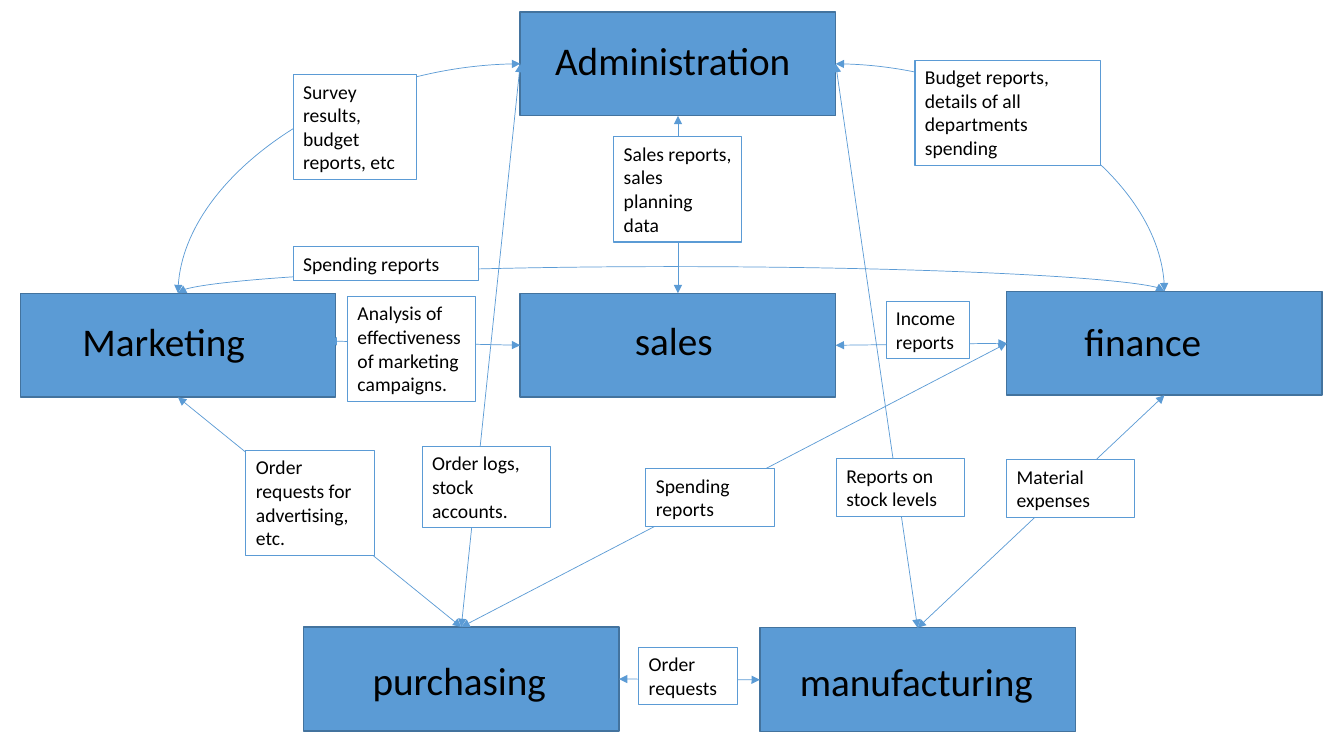
"""Build a slide of the information flows between six departments."""
import pptx
import pptx.util
import pptx.dml.color
import pptx.enum.shapes
import pptx.enum.text
import pptx.oxml.ns
import lxml.etree

Cm, Pt, qn = pptx.util.Cm, pptx.util.Pt, pptx.oxml.ns.qn
CONNECTOR = pptx.enum.shapes.MSO_CONNECTOR
RECTANGLE = pptx.enum.shapes.MSO_SHAPE.RECTANGLE
TOP, LEFT, BOTTOM, RIGHT = range(4)
BLUE, DARK_BLUE, WHITE, BLACK = "5B9BD5", "43739E", "FFFFFF", "000000"
BOX_WIDTH, BOX_HEIGHT, TITLE_HEIGHT = 7.95, 2.62, 1.45
LINE_HEIGHT, NOTE_PADDING = 0.6, 0.25
ARCH_RISE = 0.67

DEPARTMENTS = {
    "Administration": (13.11, 0.3, 0.63, 0.49, 6.91),
    "purchasing": (7.65, 15.8, 1.49, 0.61, 6.45),
    "manufacturing": (19.15, 15.82, 0.76, 0.61, 6.45),
    "Marketing": (0.51, 7.39, 1.32, 0.48, 6.45),
    "finance": (25.37, 7.34, 1.71, 0.53, 6.45),
    "sales": (13.11, 7.39, 2.64, 0.46, 3.23),
}
STRAIGHT_FLOWS = [
    ("sales", RIGHT, "finance", LEFT),
    ("sales", TOP, "Administration", BOTTOM),
    ("purchasing", TOP, "finance", LEFT),
    ("Marketing", BOTTOM, "purchasing", TOP),
    ("manufacturing", TOP, "finance", BOTTOM),
    ("purchasing", RIGHT, "manufacturing", LEFT),
    ("purchasing", TOP, "Administration", LEFT),
    ("Administration", RIGHT, "manufacturing", TOP),
]
NOTES = [
    ("Sales reports, sales planning data", 15.47, 3.45, 3.23, 4),
    ("Survey results, budget reports, etc", 7.39, 1.88, 3.12, 4),
    ("Budget reports, details of all departments spending", 23.06, 1.52, 4.67, 4),
    ("Spending reports", 7.39, 6.22, 4.67, 1),
    ("Analysis of effectiveness of marketing campaigns.", 8.76, 7.47, 3.23, 4),
    ("Order requests for advertising, etc.", 6.2, 11.35, 3.23, 4),
    ("Order logs, stock accounts.", 10.64, 11.25, 3.23, 3),
    ("Spending reports", 16.28, 11.81, 3.23, 2),
    ("Reports on stock levels", 21.08, 11.56, 3.23, 2),
    ("Material expenses", 25.37, 11.58, 3.23, 2),
    ("Order requests", 16.1, 16.31, 2.49, 2),
    ("Income reports", 22.33, 7.59, 2.11, 2),
]


def color(value):
    """Turn a hex string into a colour."""
    return pptx.dml.color.RGBColor.from_string(value)


def write(shape, text, size):
    """Put black wrapped text into a shape that grows with it."""
    frame = shape.text_frame
    frame.word_wrap = True
    frame.auto_size = pptx.enum.text.MSO_AUTO_SIZE.SHAPE_TO_FIT_TEXT
    frame.vertical_anchor = pptx.enum.text.MSO_ANCHOR.TOP
    paragraph = frame.paragraphs[0]
    paragraph.text = text
    paragraph.alignment = pptx.enum.text.PP_ALIGN.LEFT
    paragraph.font.size = Pt(size)
    paragraph.font.name = "Calibri"
    paragraph.font.color.rgb = color(BLACK)


def add_department(slide, name, left, top, title_dx, title_dy, title_width):
    """Add a department box with its title and return both."""
    group = slide.shapes.add_group_shape()
    box = group.shapes.add_shape(
        RECTANGLE, Cm(left), Cm(top), Cm(BOX_WIDTH), Cm(BOX_HEIGHT))
    box.shadow.inherit = False
    box.fill.solid()
    box.fill.fore_color.rgb = color(BLUE)
    box.line.color.rgb = color(DARK_BLUE)
    box.line.width = Pt(1)
    title = group.shapes.add_textbox(
        Cm(left + title_dx), Cm(top + title_dy), Cm(title_width), Cm(TITLE_HEIGHT))
    write(title, name, 28)
    return box, title


def add_flow(slide, source, source_side, target, target_side,
             kind=CONNECTOR.STRAIGHT):
    """Join two shapes with a thin double-headed arrow."""
    flow = slide.shapes.add_connector(kind, 0, 0, 0, 0)
    flow.begin_connect(source, source_side)
    flow.end_connect(target, target_side)
    flow.line.color.rgb = color(BLUE)
    flow.line.width = Pt(0.5)
    properties = flow.element.spPr
    outline = properties.find(qn("a:ln"))
    for end in ("a:headEnd", "a:tailEnd"):
        lxml.etree.SubElement(outline, qn(end), type="triangle")
    lxml.etree.SubElement(properties, qn("a:effectLst"))
    return flow


def add_bend(slide, source, source_side, target, target_side):
    """Join two shapes with a quarter-curve arrow."""
    bend = add_flow(slide, source, source_side, target, target_side, CONNECTOR.CURVE)
    bend.element.spPr.find(qn("a:prstGeom")).set("prst", "curvedConnector2")
    return bend


def start_upwards(flow):
    """Turn a curved arrow so that it leaves its start upwards to the right."""
    run, rise = flow.end_x - flow.begin_x, flow.begin_y - flow.end_y
    middle_x = (flow.begin_x + flow.end_x) // 2
    middle_y = (flow.begin_y + flow.end_y) // 2
    flow.left, flow.top = middle_x - rise // 2, middle_y - run // 2
    flow.width, flow.height = rise, run
    frame = flow.element.spPr.find(qn("a:xfrm"))
    for key, value in (("rot", "5400000"), ("flipH", "1"), ("flipV", "1")):
        frame.set(key, value)


def add_arch(slide, source, target):
    """Join the tops of two shapes with a flat arch."""
    arch = add_flow(slide, source, TOP, target, TOP, CONNECTOR.CURVE)
    start_upwards(arch)
    bulge = round(100000 * Cm(ARCH_RISE) / arch.width)
    guides = arch.element.spPr.find(qn("a:prstGeom")).find(qn("a:avLst"))
    lxml.etree.SubElement(guides, qn("a:gd"), name="adj1", fmla=f"val {bulge}")


def add_note(slide, text, left, top, width, lines):
    """Add a white label as tall as its number of lines."""
    height = NOTE_PADDING + LINE_HEIGHT * lines
    note = slide.shapes.add_shape(
        RECTANGLE, Cm(left), Cm(top), Cm(width), Cm(height))
    note.shadow.inherit = False
    note.fill.solid()
    note.fill.fore_color.rgb = color(WHITE)
    note.line.color.rgb = color(BLUE)
    note.line.width = Pt(0.75)
    write(note, text, 14)


def build_flow_slide(deck):
    """Add the slide with departments, flows and labels."""
    slide = deck.slides.add_slide(deck.slide_layouts[6])
    boxes, titles = {}, {}
    for name, place in DEPARTMENTS.items():
        boxes[name], titles[name] = add_department(slide, name, *place)
    add_flow(slide, titles["Marketing"], RIGHT, boxes["sales"], LEFT)
    for source, source_side, target, target_side in STRAIGHT_FLOWS:
        add_flow(slide, boxes[source], source_side, boxes[target], target_side)
    administration = boxes["Administration"]
    add_arch(slide, boxes["Marketing"], boxes["finance"])
    start_upwards(add_bend(slide, boxes["Marketing"], TOP, administration, LEFT))
    add_bend(slide, administration, RIGHT, boxes["finance"], TOP)
    for note in NOTES:
        add_note(slide, *note)


deck = pptx.Presentation()
deck.slide_width, deck.slide_height = Cm(33.87), Cm(19.05)
build_flow_slide(deck)
deck.save("out.pptx")
